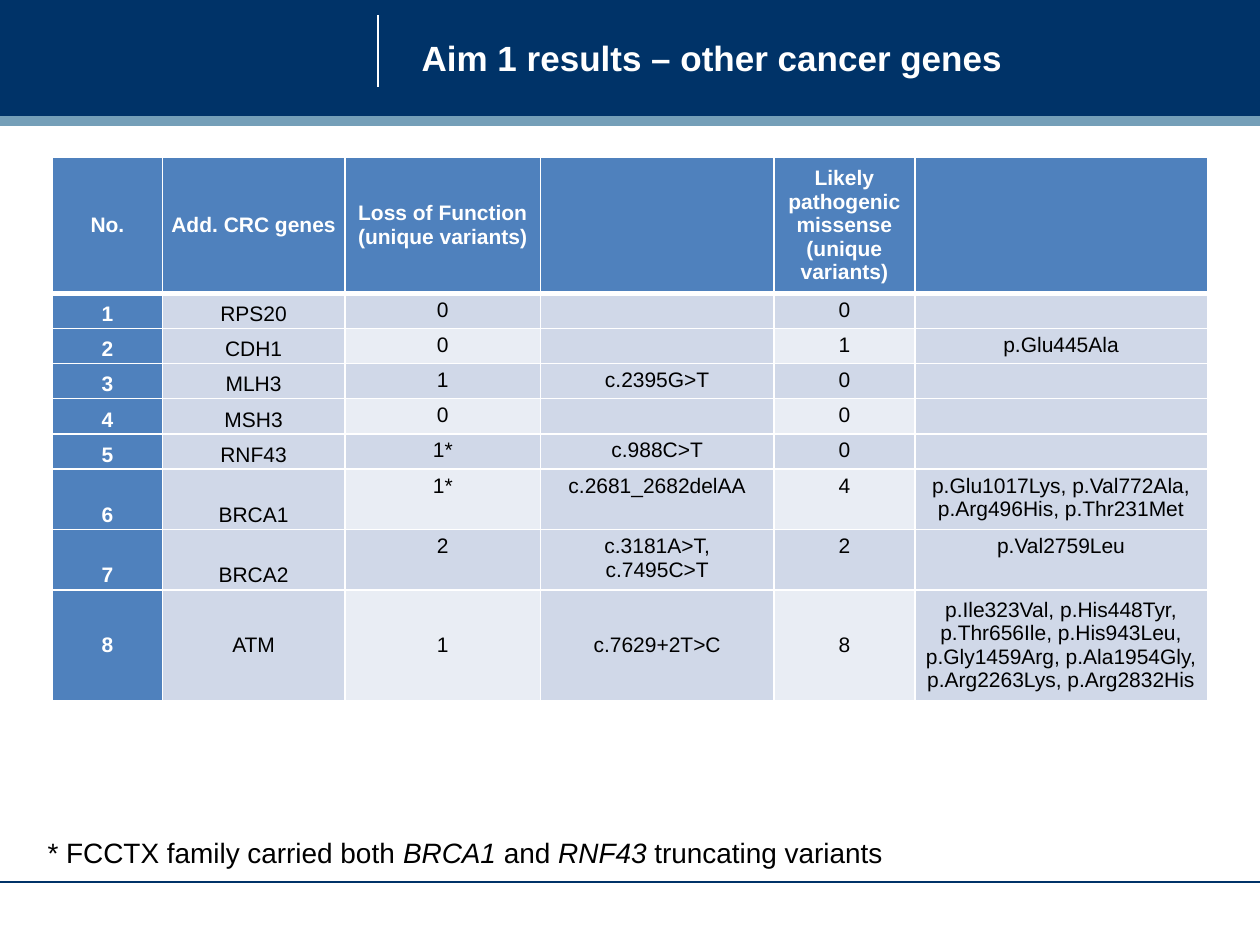
import pptx
import pptx.util
import pptx.dml.color
import pptx.enum.shapes
import pptx.enum.text
import pptx.oxml
import pptx.oxml.ns
from pptx.util import Cm, Pt

COLORS = {
    "navy": "003368", "band": "759FB8", "header": "4F81BD", "light": "D0D8E8",
    "pale": "E9EDF4", "white": "FFFFFF", "black": "000000",
}
ANCHOR = pptx.enum.text.MSO_ANCHOR
COLUMN_WIDTHS = [2.21, 3.68, 3.94, 4.7, 2.84, 5.89]
ROW_HEIGHTS = [2.57] + [0.68] * 5 + [1.15] * 2 + [2.09]
PALE_COLUMNS = (2, 4)
ROWS = [
    ["No.", "Add. CRC genes", "Loss of Function\n(unique variants)", "",
     "Likely pathogenic missense\n(unique variants)", ""],
    ["1", "RPS20", "0", "", "0", ""],
    ["2", "CDH1", "0", "", "1", "p.Glu445Ala"],
    ["3", "MLH3", "1", "c.2395G>T", "0", ""],
    ["4", "MSH3", "0", "", "0", ""],
    ["5", "RNF43", "1*", "c.988C>T", "0", ""],
    ["6", "BRCA1", "1*", "c.2681_2682delAA", "4",
     "p.Glu1017Lys, p.Val772Ala, p.Arg496His, p.Thr231Met"],
    ["7", "BRCA2", "2", "c.3181A>T, c.7495C>T", "2", "p.Val2759Leu"],
    ["8", "ATM", "1", "c.7629+2T>C", "8",
     "p.Ile323Val, p.His448Tyr, p.Thr656Ile, p.His943Leu, "
     "p.Gly1459Arg, p.Ala1954Gly, p.Arg2263Lys, p.Arg2832His"],
]
FOOTNOTE = [
    ("* FCCTX family carried both ", False), ("BRCA1", True), (" and ", False),
    ("RNF43", True), (" truncating variants", False),
]


def rgb(name):
    """Return the named colour."""
    return pptx.dml.color.RGBColor.from_string(COLORS[name])


def set_font(font, size, color, bold=False):
    """Apply the slide's typeface with a size, colour and weight."""
    font.name = "Arial"
    font.size = Pt(size)
    font.bold = bold
    font.color.rgb = rgb(color)


def add_bar(slide, left, top, width, height, color):
    """Add a plain filled rectangle."""
    bar = slide.shapes.add_shape(
        pptx.enum.shapes.MSO_SHAPE.RECTANGLE, Cm(left), Cm(top), Cm(width), Cm(height))
    bar.shadow.inherit = False
    bar.fill.solid()
    bar.fill.fore_color.rgb = rgb(color)
    bar.line.fill.background()


def add_rule(slide, start, end, color):
    """Add a thin straight line between two points."""
    rule = slide.shapes.add_connector(
        pptx.enum.shapes.MSO_CONNECTOR.STRAIGHT, *map(Cm, start + end))
    rule.line.color.rgb = rgb(color)
    rule.line.width = Pt(0.75)
    properties = rule._element.spPr
    properties.append(pptx.oxml.parse_xml(
        f'<a:effectLst {pptx.oxml.ns.nsdecls("a")}/>'))


def add_text_box(slide, left, top, width, height, wrap):
    """Add a vertically centred text box and return its paragraph."""
    frame = slide.shapes.add_textbox(
        Cm(left), Cm(top), Cm(width), Cm(height)).text_frame
    frame.word_wrap = wrap
    frame.vertical_anchor = ANCHOR.MIDDLE
    return frame.paragraphs[0]


def add_banner(slide, left, top, width, height):
    """Draw the title banner with its divider and lower band."""
    band_height = 0.2
    add_bar(slide, left, top, width, height - band_height, "navy")
    divider = left + 0.3 * width
    add_rule(slide, (divider, top + 0.3), (divider, top + 1.75), "white")
    add_bar(slide, left, top + height - band_height, width, band_height, "band")
    title = add_text_box(slide, divider + 0.63, top + 0.2, 16.08, 1.91, True)
    title.text = "Aim 1 results – other cancer genes"
    set_font(title.font, 20, "white", True)


def set_borders(cell, bottom_width):
    """Give a cell white borders, with its own width at the bottom."""
    properties = cell._tc.get_or_add_tcPr()
    widths = {"lnL": 1, "lnR": 1, "lnT": 1, "lnB": bottom_width}
    for position, (tag, width) in enumerate(widths.items()):
        properties.insert(position, pptx.oxml.parse_xml(
            f'<a:{tag} {pptx.oxml.ns.nsdecls("a")} w="{Pt(width)}"><a:solidFill>'
            f'<a:srgbClr val="{COLORS["white"]}"/></a:solidFill></a:{tag}>'))


def cell_style(row, column):
    """Return the fill name and vertical anchor of a cell."""
    if row == 0 or column == 0:
        fill = "header"
    else:
        fill = "pale" if column in PALE_COLUMNS and row % 2 == 0 else "light"
    if row in (0, len(ROWS) - 1):
        return fill, ANCHOR.MIDDLE
    return fill, ANCHOR.BOTTOM if column < 2 else ANCHOR.TOP


def fill_cell(cell, row, column, text):
    """Write and format one table cell."""
    fill, cell.vertical_anchor = cell_style(row, column)
    cell.margin_left = cell.margin_right = Cm(0.05 if column < 2 else 0.2)
    cell.margin_top = cell.margin_bottom = Cm(0.05 if column < 2 else 0.1)
    cell.fill.solid()
    cell.fill.fore_color.rgb = rgb(fill)
    set_borders(cell, 3 if row == 0 else 1)
    cell.text = text
    is_heading = fill == "header"
    for paragraph in cell.text_frame.paragraphs:
        paragraph.alignment = pptx.enum.text.PP_ALIGN.CENTER
        set_font(paragraph.font, 12, "white" if is_heading else "black", is_heading)


def add_gene_table(slide, left, top, width, height):
    """Draw the gene table, scaled to the given box."""
    table = slide.shapes.add_table(
        len(ROWS), len(COLUMN_WIDTHS), Cm(left), Cm(top), Cm(width), Cm(height)).table
    for column, share in zip(table.columns, COLUMN_WIDTHS):
        column.width = Cm(width * share / sum(COLUMN_WIDTHS))
    for row, share in zip(table.rows, ROW_HEIGHTS):
        row.height = Cm(height * share / sum(ROW_HEIGHTS))
    for row, texts in enumerate(ROWS):
        for column, text in enumerate(texts):
            fill_cell(table.cell(row, column), row, column, text)


def add_footer(slide, left, top, width, height):
    """Draw the footnote above the closing rule."""
    add_rule(slide, (left, top + height), (left + width, top + height), "navy")
    paragraph = add_text_box(slide, left + 0.71, top, 17.58, 0.94, False)
    set_font(paragraph.font, 16, "black")
    for text, italic in FOOTNOTE:
        run = paragraph.add_run()
        run.text = text
        run.font.italic = italic


def main():
    """Build and save the slide."""
    presentation = pptx.Presentation()
    presentation.slide_width = Cm(25.4)
    presentation.slide_height = Cm(19.05)
    slide = presentation.slides.add_slide(presentation.slide_layouts[6])
    add_banner(slide, 0, 0, 25.4, 2.54)
    add_gene_table(slide, 1.06, 3.17, 23.28, 10.37)
    add_footer(slide, 0, 16.71, 25.4, 1.07)
    presentation.save("out.pptx")


if __name__ == "__main__":
    main()
